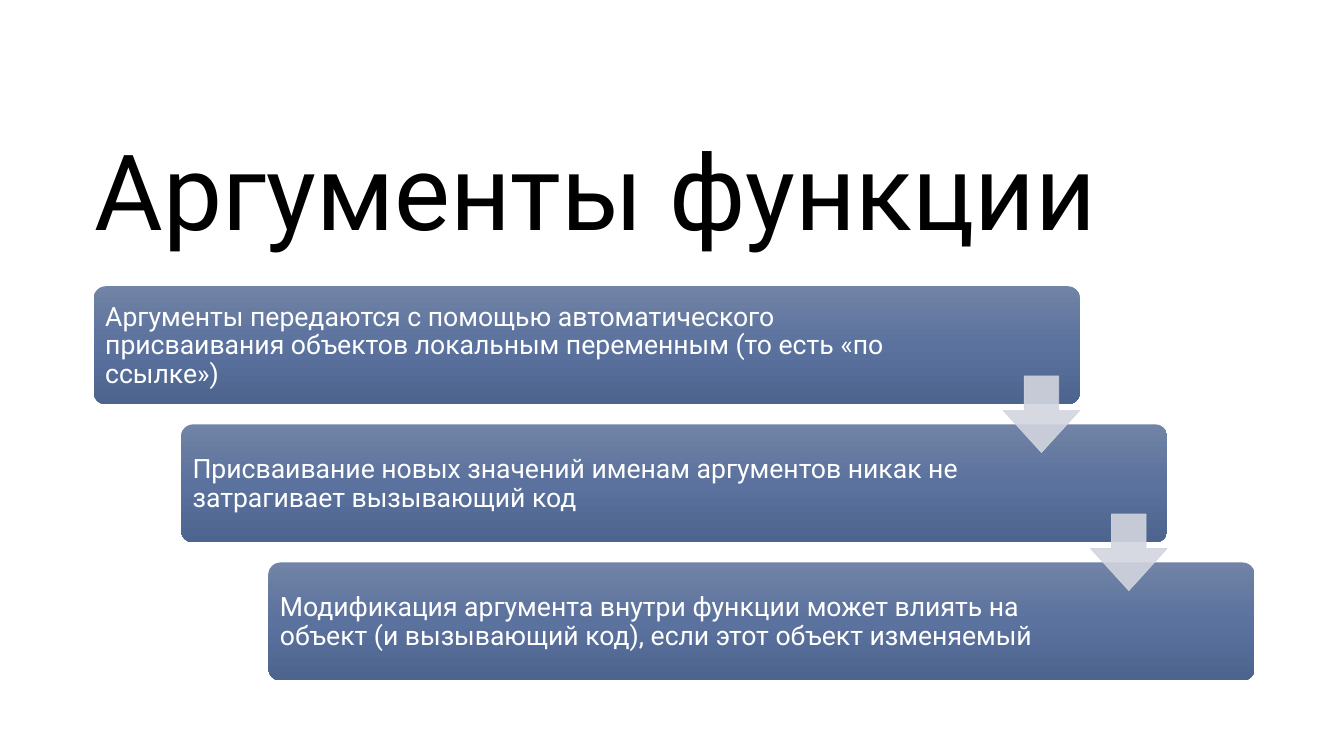
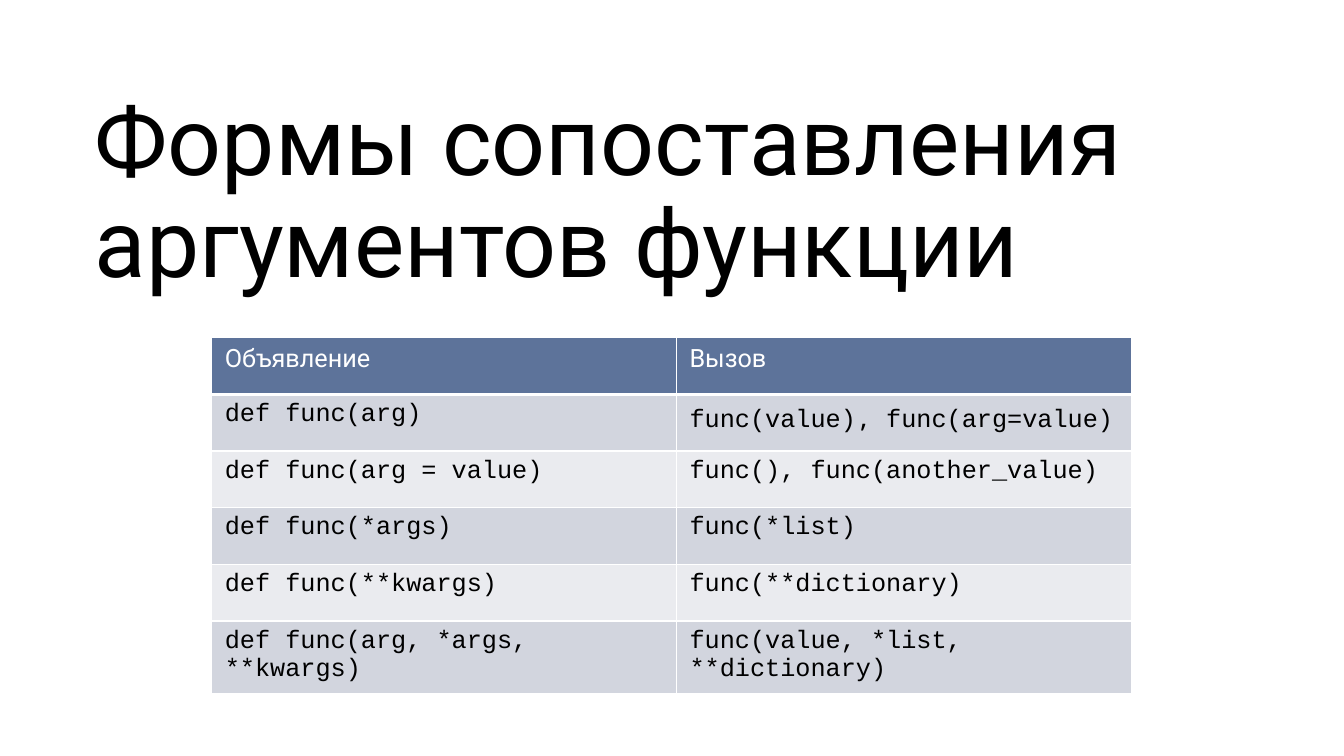
from copy import deepcopy

from lxml import etree
from pptx import Presentation
from pptx.dml.color import RGBColor
from pptx.enum.shapes import MSO_SHAPE
from pptx.enum.text import MSO_ANCHOR
from pptx.oxml.ns import qn
from pptx.util import Inches, Pt

ROUNDED = MSO_SHAPE.ROUNDED_RECTANGLE
DOWN_ARROW = MSO_SHAPE.DOWN_ARROW
MIDDLE = MSO_ANCHOR.MIDDLE
BLANK_LAYOUT = 6

BLACK = RGBColor(0x00, 0x00, 0x00)
WHITE = RGBColor(0xFF, 0xFF, 0xFF)
HEADER_BLUE = RGBColor(0x5D, 0x73, 0x9A)
BAND_DARK = RGBColor(0xD2, 0xD5, 0xDE)
BAND_LIGHT = RGBColor(0xEA, 0xEB, 0xEF)
STEP_GRADIENT = (
    (0, RGBColor(0x71, 0x83, 0xA6)),
    (0.5, RGBColor(0x5A, 0x72, 0x9D)),
    (1, RGBColor(0x4D, 0x65, 0x8E)),
)

BODY_FONT = "Roboto"
CODE_FONT = "Courier New"
COMMA_FONT = "Noto Sans Mono"

STEP_SHIFT = (6.5, 18.27)


def write_text(frame, spans, size, color, font=BODY_FONT, spacing=None):
    para = frame.paragraphs[0]
    para.line_spacing = spacing
    if isinstance(spans, str):
        spans = [(spans, font)]
    for text, span_font in spans:
        span = para.add_run()
        span.text = text
        span.font.name = span_font
        span.font.size = Pt(size)
        span.font.color.rgb = color


def set_alpha(element, percent):
    for color in element.iter(qn("a:srgbClr")):
        etree.SubElement(color, qn("a:alpha"), val=str(percent * 1000))


def set_borders(cell, color, bottom_width):
    properties = cell._tc.get_or_add_tcPr()
    sides = (("lnL", 1), ("lnR", 1), ("lnT", 1), ("lnB", bottom_width))
    for index, (side, width) in enumerate(sides):
        border = etree.Element(qn(f"a:{side}"), w=str(Pt(width)))
        fill = etree.SubElement(border, qn("a:solidFill"))
        etree.SubElement(fill, qn("a:srgbClr"), val=str(color))
        properties.insert(index, border)


class SlideBuilder:
    def __init__(self):
        self.deck = Presentation()
        self.deck.slide_width = Inches(13.33)
        self.deck.slide_height = Inches(7.5)
        self.page = None

    def across(self, percent):
        return round(self.deck.slide_width * percent / 100)

    def down(self, percent):
        return round(self.deck.slide_height * percent / 100)

    def area(self, left, top, width, height):
        return self.across(left), self.down(top), self.across(width), self.down(height)

    def add_page(self, title, size):
        layout = self.deck.slide_layouts[BLANK_LAYOUT]
        self.page = self.deck.slides.add_slide(layout)
        self.add_text(title, (7.05, 16.27, 86.25, 19.33), size, BLACK, inset=0)

    def add_text(self, text, place, size, color, inset):
        box = self.page.shapes.add_textbox(*self.area(*place))
        frame = box.text_frame
        frame.word_wrap = True
        frame.vertical_anchor = MIDDLE
        frame.margin_left = frame.margin_right = Inches(inset)
        frame.margin_top = frame.margin_bottom = Inches(inset)
        write_text(frame, text, size, color, spacing=0.9)

    def add_shape(self, kind, place, adjustments):
        shape = self.page.shapes.add_shape(kind, *self.area(*place))
        shape.shadow.inherit = False
        for index, value in enumerate(adjustments):
            shape.adjustments[index] = value
        return shape

    def add_step(self, left, top, text, text_width):
        bar = self.add_shape(ROUNDED, (left, top, 73.37, 15.6), [0.1])
        bar.line.fill.background()
        bar.fill.gradient()
        bar.fill.gradient_angle = 270
        stop_list = next(bar._element.iter(qn("a:gsLst")))
        stop_list.append(deepcopy(stop_list[0]))
        for stop, (position, color) in zip(bar.fill.gradient_stops, STEP_GRADIENT):
            stop.position = position
            stop.color.rgb = color
        place = (left + 0.25, top + 0.53, text_width, 14.8)
        self.add_text(text, place, 19, WHITE, inset=0.08)

    def add_arrow(self, left, top):
        arrow = self.add_shape(DOWN_ARROW, (left, top, 5.7, 10.13), [0.45, 0.55])
        arrow.fill.solid()
        arrow.fill.fore_color.rgb = BAND_DARK
        arrow.line.color.rgb = BAND_DARK
        arrow.line.width = Pt(0.5)
        set_alpha(arrow._element, 90)

    def add_staircase(self, steps):
        shift_x, shift_y = STEP_SHIFT
        for index, (text, text_width) in enumerate(steps):
            self.add_step(6.98 + index * shift_x, 37.87 + index * shift_y, text, text_width)
        for index in range(len(steps) - 1):
            self.add_arrow(74.64 + index * shift_x, 49.73 + index * shift_y)

    def add_table(self, rows, left, top, column_widths, row_height):
        place = (left, top, sum(column_widths), row_height * len(rows))
        table = self.page.shapes.add_table(
            len(rows), len(column_widths), *self.area(*place)
        ).table
        for column, width in zip(table.columns, column_widths):
            column.width = self.across(width)
        for row_index, row in enumerate(rows):
            table.rows[row_index].height = self.down(row_height)
            for column_index, text in enumerate(row):
                self.fill_cell(table.cell(row_index, column_index), text, row_index)

    def fill_cell(self, cell, text, row_index):
        is_header = row_index == 0
        band = BAND_DARK if row_index % 2 else BAND_LIGHT
        cell.fill.solid()
        cell.fill.fore_color.rgb = HEADER_BLUE if is_header else band
        cell.margin_left = cell.margin_right = Inches(0.13)
        cell.margin_top = cell.margin_bottom = Inches(0.06)
        write_text(
            cell.text_frame,
            text,
            size=18,
            color=WHITE if is_header else BLACK,
            font=BODY_FONT if is_header else CODE_FONT,
        )
        set_borders(cell, WHITE, bottom_width=3 if is_header else 1)


builder = SlideBuilder()

builder.add_page("Аргументы функции", size=75.2)
builder.add_staircase([
    ("Аргументы передаются с помощью автоматического присваивания объектов "
     "локальным переменным (то есть «по ссылке»)", 63.84),
    ("Присваивание новых значений именам аргументов никак не затрагивает "
     "вызывающий код", 60.6),
    ("Модификация аргумента внутри функции может влиять на объект "
     "(и вызывающий код), если этот объект изменяемый", 60.6),
])

builder.add_page("Формы сопоставления аргументов функции", size=67.7)
builder.add_table(
    [
        ("Объявление", "Вызов"),
        ("def func(arg)", [
            ("func(value)", CODE_FONT),
            (", ", COMMA_FONT),
            ("func(arg=value)", CODE_FONT),
        ]),
        ("def func(arg = value)", "func(), func(another_value)"),
        ("def func(*args)", "func(*list)"),
        ("def func(**kwargs)", "func(**dictionary)"),
        ("def func(arg, *args, **kwargs)", "func(value, *list, **dictionary)"),
    ],
    left=15.75,
    top=44.67,
    column_widths=(34.58, 33.9),
    row_height=7.5,
)

builder.deck.save("out.pptx")
